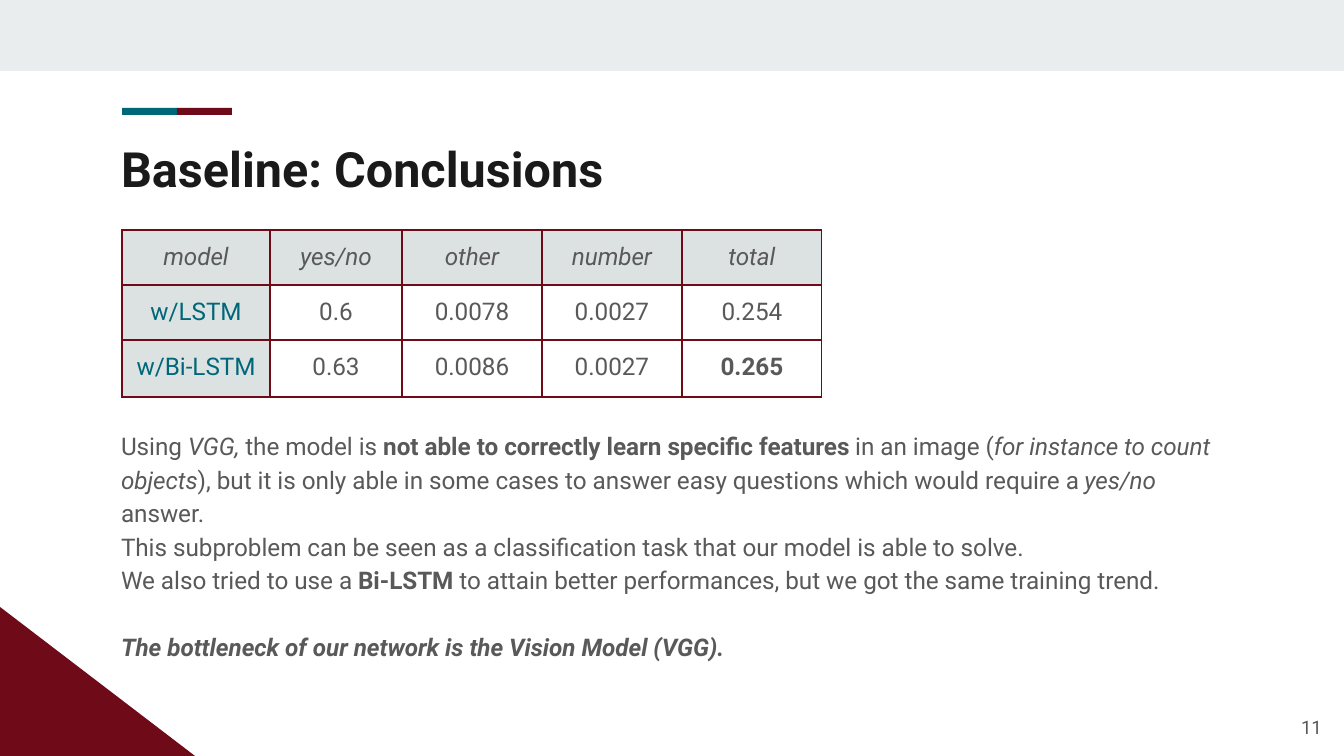
from lxml.etree import SubElement
from pptx import Presentation
from pptx.dml.color import RGBColor
from pptx.enum.shapes import MSO_SHAPE
from pptx.enum.text import MSO_ANCHOR, MSO_AUTO_SIZE, PP_ALIGN
from pptx.oxml import parse_xml
from pptx.oxml.ns import nsdecls, qn
from pptx.util import Pt

EMU_PER_PX = 914400 / 134.4
INSET = 13
TEAL, MAROON, GRAY = "006778", "6F0A19", "595959"
MIST, SILVER, INK = "E9EDEE", "B0BDBF", "1A1A1A"

RESULTS = [
    ["model", "yes/no", "other", "number", "total"],
    ["w/LSTM", "0.6", "0.0078", "0.0027", "0.254"],
    ["w/Bi-LSTM", "0.63", "0.0086", "0.0027", "0.265"],
]
CONCLUSIONS = [
    [("Using ", ""), ("VGG,", "i"), (" the model is ", ""),
     ("not able to correctly learn specific features", "b"),
     (" in an image (", ""), ("for instance to count objects", "i"),
     ("), but it is only able in some cases to answer easy questions which would require a ", ""),
     ("yes/no", "i"), (" answer.", "")],
    [("This subproblem can be seen as a classification task that our model is able to solve.", "")],
    [("We also tried to use a ", ""), ("Bi-LSTM ", "b"),
     ("to attain better performances, but we got the same training trend.", "")],
    [("The bottleneck of our network is the Vision Model (VGG).", "bi")],
]


def px(length):
    return round(length * EMU_PER_PX)


def color(value):
    return RGBColor.from_string(value)


class SlideBuilder:
    font_name = "Roboto"

    def __init__(self, slide):
        self.slide = slide

    def style(self, paragraph, size, fill, align=PP_ALIGN.LEFT):
        paragraph.alignment = align
        font = paragraph.font
        font.name, font.size = self.font_name, Pt(size)
        font.color.rgb = color(fill)
        return font

    def place(self, shape, left, top, width, height, anchor=MSO_ANCHOR.TOP):
        shape.left, shape.top = px(left), px(top)
        shape.width, shape.height = px(width), px(height)
        frame = shape.text_frame
        frame.word_wrap = True
        frame.auto_size = MSO_AUTO_SIZE.NONE
        frame.vertical_anchor = anchor
        frame.margin_left = frame.margin_right = px(INSET)
        frame.margin_top = frame.margin_bottom = px(INSET)
        return frame

    def shape(self, kind, left, top, width, height, fill):
        shape = self.slide.shapes.add_shape(kind, px(left), px(top), px(width), px(height))
        shape.shadow.inherit = False
        shape.fill.solid()
        shape.fill.fore_color.rgb = color(fill)
        shape.line.fill.background()

    def title(self, text, *box):
        frame = self.place(self.slide.shapes.title, *box)
        frame.text = text
        self.style(frame.paragraphs[0], 26, INK).bold = True

    def body(self, paragraphs, *box):
        frame = self.place(self.slide.placeholders[1], *box)
        for index, runs in enumerate(paragraphs):
            paragraph = frame.add_paragraph() if index else frame.paragraphs[0]
            properties = paragraph._p.get_or_add_pPr()
            properties.set("marL", "0")
            properties.set("indent", "0")
            SubElement(properties, qn("a:buNone"))
            paragraph.line_spacing = 1.15
            is_last = index == len(paragraphs) - 1
            paragraph.space_before = Pt(18 if is_last else 0)
            self.style(paragraph, 13, GRAY)
            for text, marks in runs:
                run = paragraph.add_run()
                run.text = text
                run.font.bold = "b" in marks
                run.font.italic = "i" in marks

    def page_number(self, text, *box):
        shape = self.slide.shapes.add_textbox(0, 0, 0, 0)
        frame = self.place(shape, *box, anchor=MSO_ANCHOR.MIDDLE)
        frame.text = text
        self.style(frame.paragraphs[0], 10, GRAY, PP_ALIGN.RIGHT)

    def border(self, cell):
        properties = cell._tc.get_or_add_tcPr()
        for index, side in enumerate(("lnL", "lnR", "lnT", "lnB")):
            properties.insert(index, parse_xml(
                f'<a:{side} {nsdecls("a")} w="{Pt(0.75)}"><a:solidFill>'
                f'<a:srgbClr val="{MAROON}"/></a:solidFill></a:{side}>'))

    def tint(self, cell):
        cell.fill.solid()
        cell.fill.fore_color.rgb = color(SILVER)
        tone = cell._tc.tcPr.find(".//" + qn("a:srgbClr"))
        SubElement(tone, qn("a:alpha"), val="44000")

    def table(self, rows, left, top, widths, heights):
        table = self.slide.shapes.add_table(
            len(rows), len(widths), px(left), px(top), px(sum(widths)), px(sum(heights))).table
        table.first_row = table.horz_banding = False
        for column, width in zip(table.columns, widths):
            column.width = px(width)
        for row, height in zip(table.rows, heights):
            row.height = px(height)
        for row_index, texts in enumerate(rows):
            for column_index, text in enumerate(texts):
                cell = table.cell(row_index, column_index)
                is_header, is_label = row_index == 0, column_index == 0
                cell.text = text
                cell.margin_left = cell.margin_right = px(INSET)
                cell.margin_top = cell.margin_bottom = px(INSET)
                fill = TEAL if is_label and not is_header else GRAY
                font = self.style(cell.text_frame.paragraphs[0], 13, fill, PP_ALIGN.CENTER)
                font.italic = is_header
                font.bold = text == "0.265"
                if is_header or is_label:
                    self.tint(cell)
                else:
                    cell.fill.background()
                self.border(cell)


def main():
    presentation = Presentation()
    presentation.slide_width, presentation.slide_height = px(1344), px(756)
    builder = SlideBuilder(presentation.slides.add_slide(presentation.slide_layouts[1]))
    builder.shape(MSO_SHAPE.RECTANGLE, 0, 0, 1344, 71, MIST)
    builder.shape(MSO_SHAPE.RIGHT_TRIANGLE, 0, 607, 195, 149, MAROON)
    for index, fill in enumerate((TEAL, MAROON)):
        builder.shape(MSO_SHAPE.RECTANGLE, 122 + 55 * index, 108, 55, 7, fill)
    builder.title("Baseline: Conclusions", 108, 126, 1130, 79)
    builder.body(CONCLUSIONS, 108, 414, 1130, 285)
    builder.page_number("11", 1255, 698, 80, 58)
    builder.table(RESULTS, 122, 230, [148, 132, 140, 140, 140], [55, 55, 57])
    presentation.save("out.pptx")


if __name__ == "__main__":
    main()
